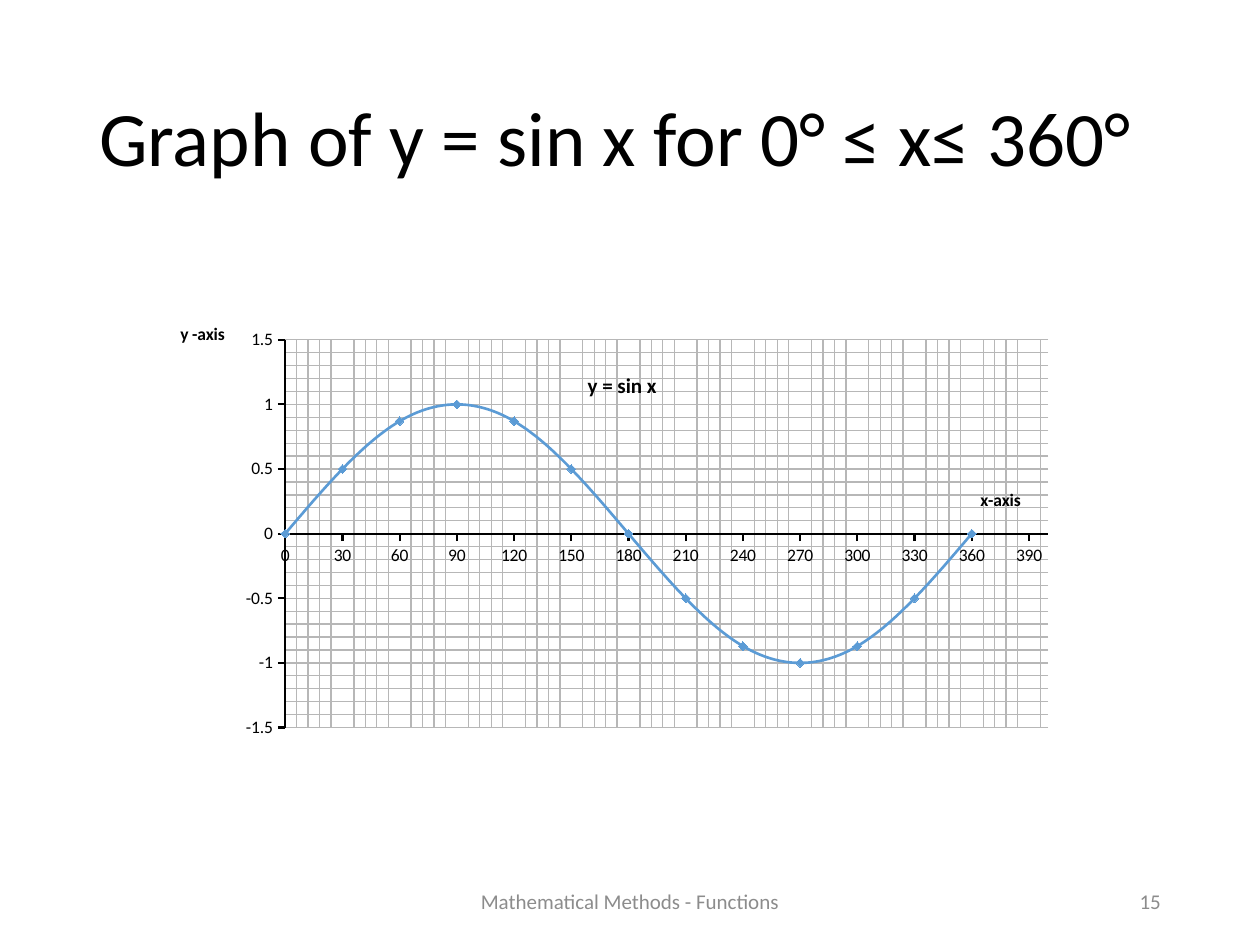
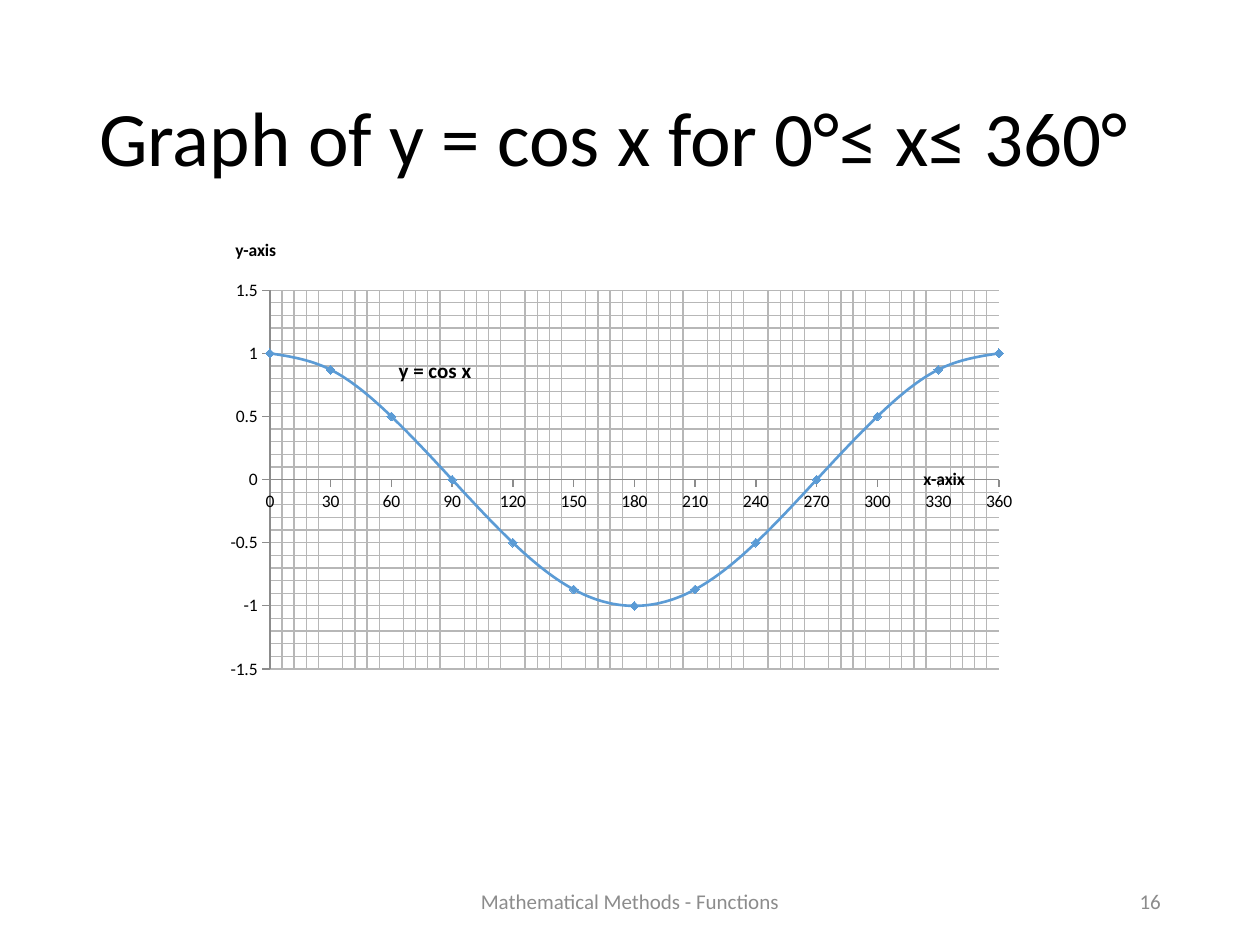
import math

import pptx
import pptx.chart.data
import pptx.dml.color
import pptx.enum.chart
import pptx.enum.text
import pptx.oxml
import pptx.oxml.ns
import pptx.util

Cm, Pt = pptx.util.Cm, pptx.util.Pt
ALIGN = pptx.enum.text.PP_ALIGN
CHART = pptx.enum.chart

FONT = "Calibri"
BLACK, GREY, GRID, CURVE = "000000", "8C8C8C", "B7B7B7", "5B9BD5"
FOOTER = "Mathematical Methods - Functions"

TITLE_BOX = (1.75, 1.02, 21.89, 3.68)
FOOTER_BOX = (8.41, 17.65, 8.58, 1.02)
NUMBER_BOX = (17.93, 17.65, 5.72, 1.02)
TITLE_STYLE = {"size": 44, "color": BLACK, "align": ALIGN.LEFT, "spacing": 0.9}
FOOTER_STYLE = {"size": 12, "color": GREY, "align": ALIGN.CENTER}
NUMBER_STYLE = {"size": 12, "color": GREY, "align": ALIGN.RIGHT}

ANGLES = range(0, 361, 30)
X_SCALE = {"minimum_scale": 0, "major_unit": 30, "minor_unit": 6}
Y_SCALE = {"minimum_scale": -1.5, "maximum_scale": 1.5,
           "major_unit": 0.5, "minor_unit": 0.1}

# Boxes and label corners are in centimetres on the slide.
GRAPHS = [
    {"number": 15, "title": "Graph of y = sin x for 0° ≤ x≤ 360°",
     "function": math.sin, "x_max": 400, "axis_line": (BLACK, 1.25),
     "frame": (3.1, 5.33, 18.39, 10.8), "plot": (5.75, 6.85, 15.38, 7.82),
     "name": ("y = sin x", 11.77, 7.4),
     "x_title": ("x-axis", 19.7, 9.78), "y_title": ("y -axis", 3.57, 6.43)},
    {"number": 16, "title": "Graph of y = cos x for 0°≤ x≤ 360°",
     "function": math.cos, "x_max": 360, "axis_line": (GREY, 0.75),
     "frame": (2.9, 4.32, 17.86, 10.59), "plot": (5.44, 5.85, 14.7, 7.64),
     "name": ("y = cos x", 7.96, 7.1),
     "x_title": ("x-axix", 18.55, 9.37), "y_title": ("y-axis", 4.68, 4.74)},
]


def rgb(color):
    return pptx.dml.color.RGBColor.from_string(color)


def set_all(target, values):
    for name, value in values.items():
        setattr(target, name, value)


def style_font(font, size, color, bold=False):
    set_all(font, {"name": FONT, "size": Pt(size), "bold": bold})
    font.color.rgb = rgb(color)


def style_line(line, color, width):
    line.color.rgb = rgb(color)
    line.width = Pt(width)


def add_text(page, box, text, size, color, align, spacing=None):
    frame = page.shapes.add_textbox(*map(Cm, box)).text_frame
    set_all(frame, {"word_wrap": True,
                    "vertical_anchor": pptx.enum.text.MSO_ANCHOR.MIDDLE})
    para = frame.paragraphs[0]
    set_all(para, {"alignment": align, "line_spacing": spacing})
    span = para.add_run()
    span.text = text
    style_font(span.font, size, color)


def make_layout(frame, corner, extent=None):
    """Return a manual layout as fractions of the chart frame."""
    left, top, width, height = frame
    parts = [("xMode", "edge"), ("yMode", "edge"),
             ("x", (corner[0] - left) / width), ("y", (corner[1] - top) / height)]
    if extent:
        parts.insert(0, ("layoutTarget", "inner"))
        parts += [("w", extent[0] / width), ("h", extent[1] / height)]
    body = "".join(f'<c:{tag} val="{value}"/>' for tag, value in parts)
    return pptx.oxml.parse_xml(
        f'<c:layout {pptx.oxml.ns.nsdecls("c")}>'
        f'<c:manualLayout>{body}</c:manualLayout></c:layout>')


def drop_layout(element):
    for old in element.findall(pptx.oxml.ns.qn("c:layout")):
        element.remove(old)


def place_title(title, frame, label, size):
    text, left, top = label
    span = title.text_frame.paragraphs[0].add_run()
    span.text = text
    style_font(span.font, size, BLACK, bold=True)
    element = title.text_frame._txBody.getparent().getparent()
    drop_layout(element)
    element.find(pptx.oxml.ns.qn("c:tx")).addnext(make_layout(frame, (left, top)))


def style_minor_gridlines(axis, color, width):
    axis.has_minor_gridlines = True
    lines = axis._element.find(pptx.oxml.ns.qn("c:minorGridlines"))
    lines.append(pptx.oxml.parse_xml(
        f'<c:spPr {pptx.oxml.ns.nsdecls("c", "a")}><a:ln w="{Pt(width)}">'
        f'<a:solidFill><a:srgbClr val="{color}"/></a:solidFill></a:ln></c:spPr>'))


def style_axis(axis, scale, graph, label):
    set_all(axis, scale)
    set_all(axis, {"major_tick_mark": CHART.XL_TICK_MARK.OUTSIDE,
                   "minor_tick_mark": CHART.XL_TICK_MARK.NONE,
                   "tick_label_position": CHART.XL_TICK_LABEL_POSITION.NEXT_TO_AXIS})
    set_all(axis.tick_labels, {"number_format": "General",
                               "number_format_is_linked": False})
    style_line(axis.format.line, *graph["axis_line"])
    style_minor_gridlines(axis, GRID, 0.75)
    place_title(axis.axis_title, graph["frame"], label, 10)


def add_graph(page, graph):
    table = pptx.chart.data.XyChartData()
    points = table.add_series("Series 1")
    for angle in ANGLES:
        points.add_data_point(angle, round(graph["function"](math.radians(angle)), 2) + 0)
    chart = page.shapes.add_chart(CHART.XL_CHART_TYPE.XY_SCATTER_SMOOTH,
                                  *map(Cm, graph["frame"]), table).chart
    style_font(chart.font, 10, BLACK)
    set_all(chart, {"has_legend": False, "has_title": True})
    place_title(chart.chart_title, graph["frame"], graph["name"], 12)

    x_axis, y_axis = chart.category_axis, chart.value_axis
    style_axis(x_axis, X_SCALE | {"maximum_scale": graph["x_max"]}, graph, graph["x_title"])
    style_axis(y_axis, Y_SCALE, graph, graph["y_title"])
    x_axis.has_major_gridlines = False
    y_axis.has_major_gridlines = True
    style_line(y_axis.major_gridlines.format.line, GRID, 0.75)
    y_axis.axis_title.text_frame._txBody.bodyPr.set("rot", "0")

    chart.plots[0].vary_by_categories = False
    series = chart.plots[0].series[0]
    series._element.get_or_add_smooth().val = True
    style_line(series.format.line, CURVE, 1.5)
    marker = series.marker
    set_all(marker, {"style": CHART.XL_MARKER_STYLE.DIAMOND, "size": 5})
    marker.format.fill.solid()
    marker.format.fill.fore_color.rgb = rgb(CURVE)
    style_line(marker.format.line, CURVE, 0.75)

    plot_area = chart._chartSpace.chart.plotArea
    drop_layout(plot_area)
    plot_area.insert(0, make_layout(graph["frame"], graph["plot"][:2], graph["plot"][2:]))


def main():
    deck = pptx.Presentation()
    set_all(deck, {"slide_width": Cm(25.4), "slide_height": Cm(19.05)})
    for graph in GRAPHS:
        page = deck.slides.add_slide(deck.slide_layouts[6])
        add_text(page, TITLE_BOX, graph["title"], **TITLE_STYLE)
        add_graph(page, graph)
        add_text(page, FOOTER_BOX, FOOTER, **FOOTER_STYLE)
        add_text(page, NUMBER_BOX, str(graph["number"]), **NUMBER_STYLE)
    deck.save("out.pptx")


if __name__ == "__main__":
    main()
